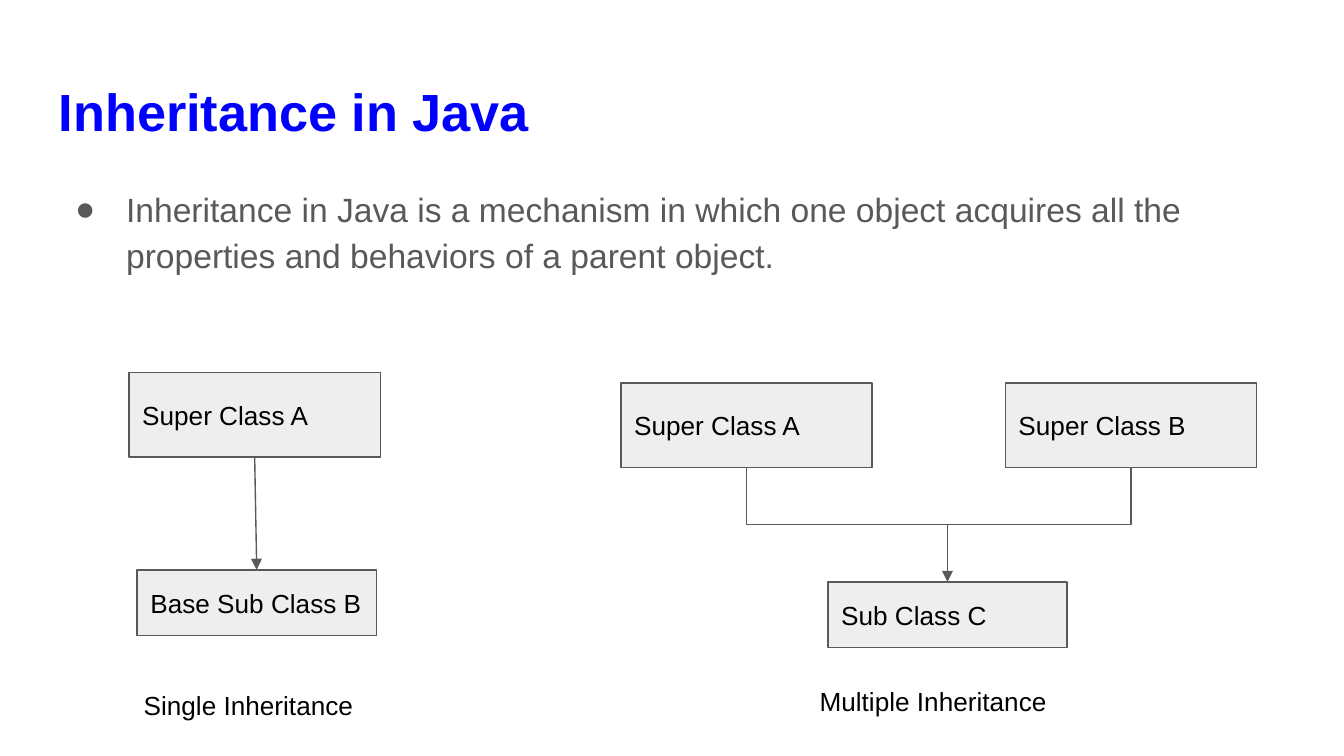
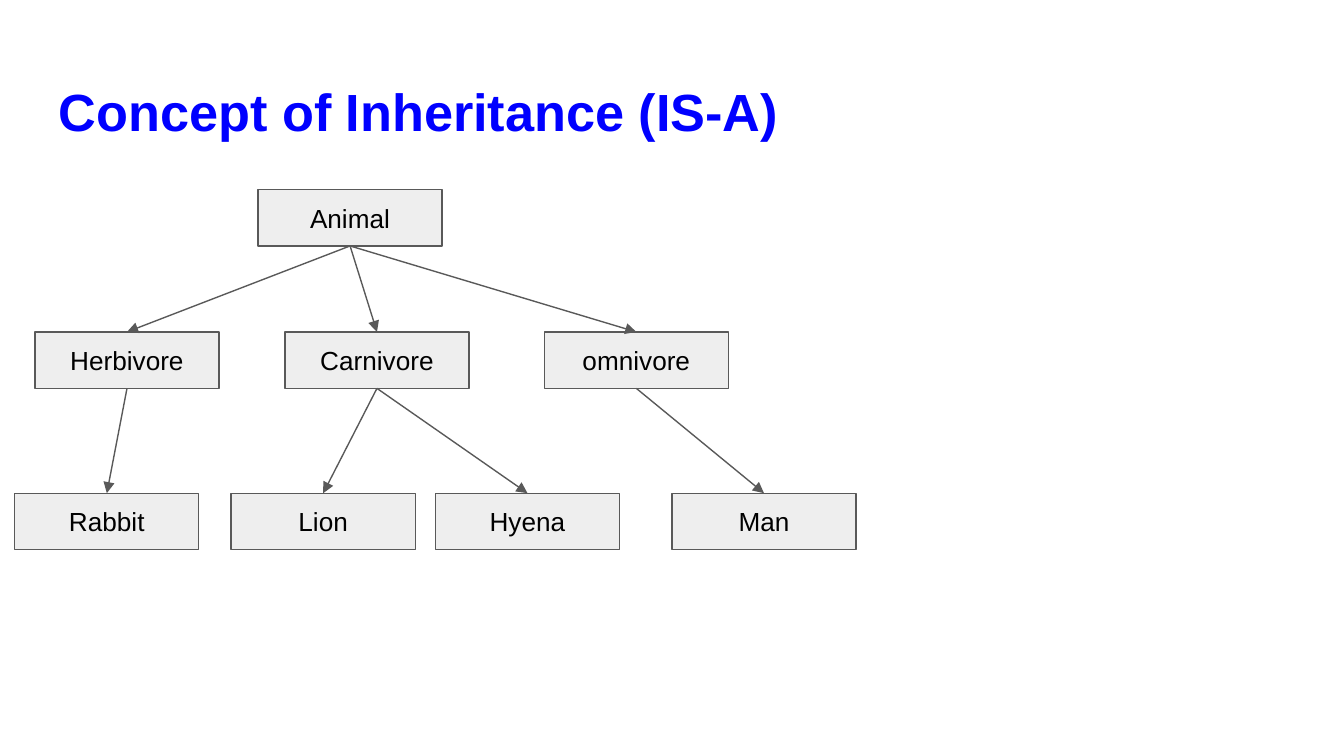
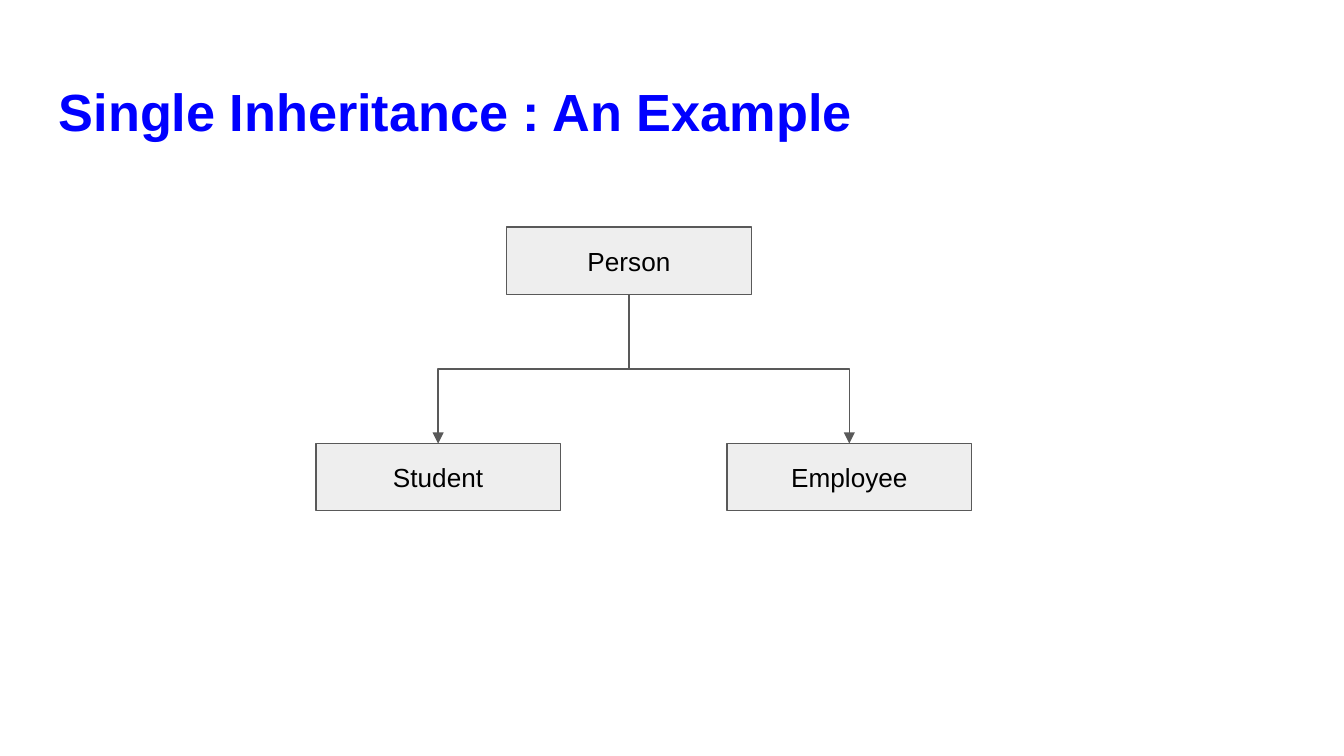
from dataclasses import dataclass

from lxml import etree
from pptx import Presentation
from pptx import util as u
from pptx.dml.color import RGBColor
from pptx.enum import shapes, text
from pptx.oxml import ns

TOP, BOTTOM = 0, 2  # connection sites of a rectangle


@dataclass(frozen=True)
class Theme:
    font: str = "Arial"
    title: str = "0000FF"
    muted: str = "595959"
    ink: str = "000000"
    fill: str = "EEEEEE"
    title_size: int = 28
    body_size: int = 18
    label_size: int = 14
    line_width: float = 0.75
    inset: float = 0.1


THEME = Theme()


def rgb(value):
    return RGBColor.from_string(value)


def write(shape, wording, size, color, bold=False, align=text.PP_ALIGN.LEFT,
          anchor=text.MSO_ANCHOR.TOP):
    frame = shape.text_frame
    frame.word_wrap = True
    frame.vertical_anchor = anchor
    frame.margin_left = frame.margin_right = u.Inches(THEME.inset)
    frame.margin_top = frame.margin_bottom = u.Inches(THEME.inset)
    para = frame.paragraphs[0]
    para.text = wording
    para.alignment = align
    para.font.name = THEME.font
    para.font.size = u.Pt(size)
    para.font.bold = bold
    para.font.color.rgb = rgb(color)
    return para


def add_text(page, box, wording, size, color, bold=False):
    area = page.shapes.add_textbox(*map(u.Inches, box))
    return write(area, wording, size, color, bold)


def add_title(page, wording):
    add_text(page, (0.34, 0.49, 9.32, 0.63), wording,
             THEME.title_size, THEME.title, bold=True)


def add_bullet(page, box, wording):
    para = add_text(page, box, wording, THEME.body_size, THEME.muted)
    props = para._p.get_or_add_pPr()
    props.set("marL", str(u.Inches(0.5)))
    props.set("indent", str(u.Inches(-0.38)))
    color = etree.Element(ns.qn("a:buClr"))
    etree.SubElement(color, ns.qn("a:srgbClr"), val=THEME.muted)
    marks = [
        color,
        etree.Element(ns.qn("a:buSzPts"), val=str(THEME.body_size * 100)),
        etree.Element(ns.qn("a:buFont"), typeface=THEME.font),
        etree.Element(ns.qn("a:buChar"), char="●"),
    ]
    for place, mark in enumerate(marks):
        props.insert(place, mark)
    para.line_spacing = 1.15


def add_node(page, box, name, align=text.PP_ALIGN.CENTER):
    node = page.shapes.add_shape(shapes.MSO_SHAPE.RECTANGLE, *map(u.Inches, box))
    node.shadow.inherit = False
    node.fill.solid()
    node.fill.fore_color.rgb = rgb(THEME.fill)
    node.line.color.rgb = rgb(THEME.muted)
    node.line.width = u.Pt(THEME.line_width)
    write(node, name, THEME.label_size, THEME.ink, align=align,
          anchor=text.MSO_ANCHOR.MIDDLE)
    return node


def style_link(link, arrow):
    link.line.color.rgb = rgb(THEME.muted)
    link.line.width = u.Pt(THEME.line_width)
    props = link.element.spPr
    if arrow:
        etree.SubElement(props.find(ns.qn("a:ln")), ns.qn("a:tailEnd"), type="triangle")
    etree.SubElement(props, ns.qn("a:effectLst"))


def center_x(node):
    return node.left + node.width // 2


def link_straight(page, parent, child):
    link = page.shapes.add_connector(
        shapes.MSO_CONNECTOR.STRAIGHT, center_x(parent), parent.top + parent.height,
        center_x(child), child.top)
    link.begin_connect(parent, BOTTOM)
    link.end_connect(child, TOP)
    style_link(link, arrow=True)


def link_elbow(page, parent, child, arrow=True):
    """Leave the parent downwards: a sideways elbow, turned about its centre."""
    start_x, start_y = center_x(parent), parent.top + parent.height
    run, drop = center_x(child) - start_x, child.top - start_y
    left = start_x + (run - drop) // 2
    top = start_y + (drop - abs(run)) // 2
    ends = (left + drop, left) if run > 0 else (left, left + drop)
    link = page.shapes.add_connector(
        shapes.MSO_CONNECTOR.ELBOW, ends[0], top, ends[1], top + abs(run))
    turn = 270 if run > 0 else 90
    link.element.spPr.find(ns.qn("a:xfrm")).set("rot", str(turn * 60000))
    style_link(link, arrow)


def class_node(page, left, top, name, is_super):
    size = (1.87, 0.63) if is_super else (1.78, 0.49)
    return add_node(page, (left, top, *size), name, text.PP_ALIGN.LEFT)


def add_caption(page, box, wording):
    add_text(page, box, wording, THEME.label_size, THEME.ink)


def single_inheritance(page, left, top):
    parent = class_node(page, left, top, "Super Class A", True)
    child = class_node(page, left + 0.06, top + 1.47, "Base Sub Class B", False)
    link_straight(page, parent, child)
    add_caption(page, (left + 0.01, top + 2.26, 2.09, 0.41), "Single Inheritance")


def multiple_inheritance(page, left, top):
    parents = [class_node(page, left + shift, top, name, True)
               for shift, name in ((0, "Super Class A"), (2.86, "Super Class B"))]
    child = class_node(page, left + 1.54, top + 1.48, "Sub Class C", False)
    for parent in parents:
        link_elbow(page, parent, child, arrow=False)
    stem = page.shapes.add_connector(
        shapes.MSO_CONNECTOR.STRAIGHT, center_x(child), u.Inches(top + 1.07),
        center_x(child), child.top)
    stem.end_connect(child, TOP)
    style_link(stem, arrow=True)
    add_caption(page, (left + 1.38, top + 2.15, 2.94, 0.41), "Multiple Inheritance")


def add_tree(page, left, top, size, rows, families, link):
    """Place rows of (drop, {name: shift}), then link each parent to its children."""
    nodes = {name: add_node(page, (left + shift, top + drop, *size), name)
             for drop, row in rows for name, shift in row.items()}
    for parent, children in families.items():
        for child in children:
            link(page, nodes[parent], nodes[child])


def definition_slide(page):
    add_title(page, "Inheritance in Java")
    add_bullet(page, (0.34, 1.26, 9.32, 3.74),
               "Inheritance in Java is a mechanism in which one object acquires "
               "all the properties and behaviors of a parent object.")
    single_inheritance(page, 0.96, 2.77)
    multiple_inheritance(page, 4.62, 2.85)


def concept_slide(page):
    add_title(page, "Concept of Inheritance (IS-A)")
    rows = [
        (0, {"Animal": 1.81}),
        (1.06, {"Herbivore": 0.15, "Carnivore": 2.01, "omnivore": 3.94}),
        (2.26, {"Rabbit": 0, "Lion": 1.61, "Hyena": 3.13, "Man": 4.89}),
    ]
    families = {
        "Animal": ["Herbivore", "Carnivore", "omnivore"],
        "Herbivore": ["Rabbit"],
        "Carnivore": ["Lion", "Hyena"],
        "omnivore": ["Man"],
    }
    add_tree(page, 0.11, 1.41, (1.37, 0.42), rows, families, link_straight)


def example_slide(page):
    add_title(page, "Single Inheritance : An Example")
    rows = [(0, {"Person": 1.42}), (1.61, {"Student": 0, "Employee": 3.06})]
    families = {"Person": ["Student", "Employee"]}
    add_tree(page, 2.35, 1.69, (1.82, 0.5), rows, families, link_elbow)


def main():
    deck = Presentation()
    deck.slide_width = u.Inches(10)
    deck.slide_height = deck.slide_width * 9 // 16
    blank = deck.slide_layouts[6]
    for build in (definition_slide, concept_slide, example_slide):
        build(deck.slides.add_slide(blank))
    deck.save("out.pptx")


if __name__ == "__main__":
    main()
